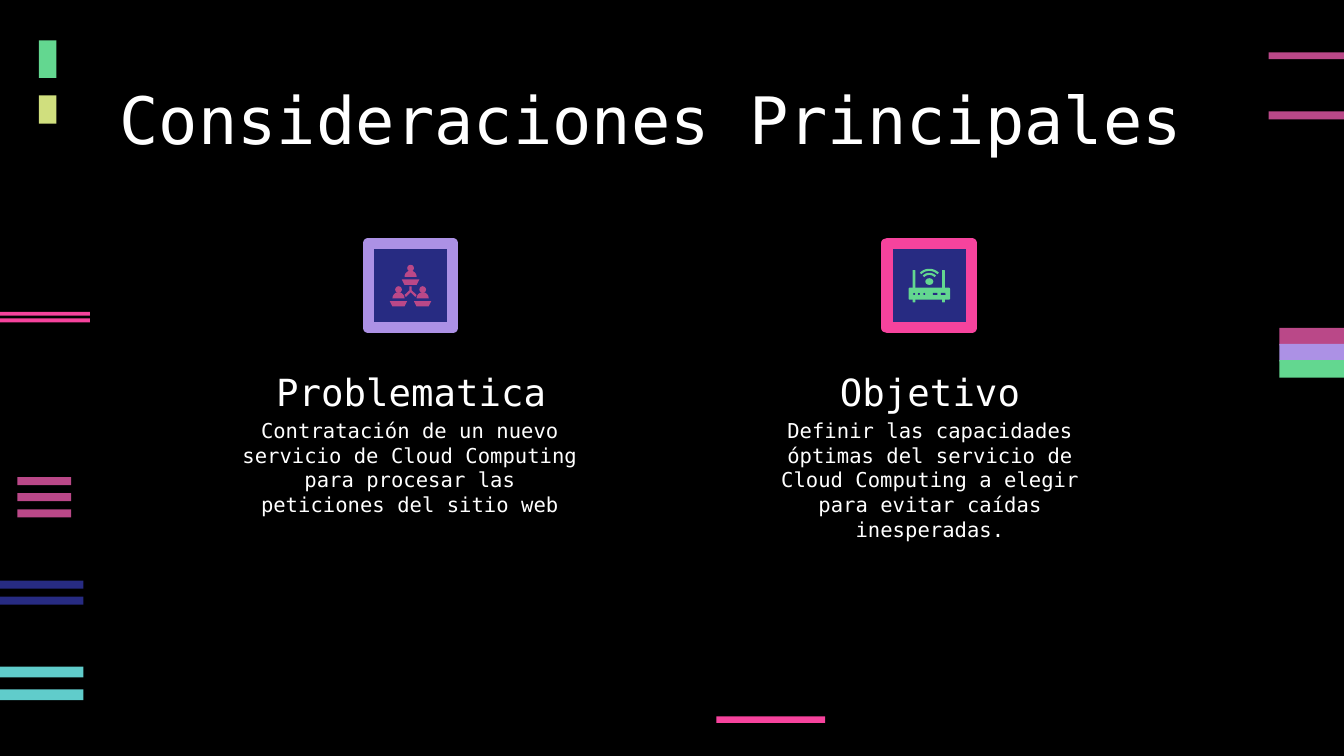
from dataclasses import dataclass
from math import cos, radians, sin

from lxml import etree
from pptx import Presentation
from pptx import util as u
from pptx.dml.color import RGBColor
from pptx.enum import shapes, text
from pptx.oxml import ns

PX = 9144
FONT = "DejaVu Sans Mono"
HUES = {
    "black": "000000",
    "white": "FFFFFF",
    "plum": "BA4888",
    "pink": "F6439D",
    "aqua": "60CCCB",
    "green": "63D790",
    "lilac": "AC91E5",
    "lime": "D0DF7E",
    "navy": "272B82",
}
KIND = shapes.MSO_SHAPE
TOP, LOW = text.MSO_ANCHOR.TOP, text.MSO_ANCHOR.BOTTOM
LEFT, MID = text.PP_ALIGN.LEFT, text.PP_ALIGN.CENTER


@dataclass(frozen=True)
class Box:
    x: float
    y: float
    w: float
    h: float


@dataclass(frozen=True)
class Stack:
    box: Box
    hues: tuple[str, ...]
    step: int = 0


@dataclass(frozen=True)
class Label:
    slot: int
    box: Box
    words: str
    size: int
    anchor: text.MSO_ANCHOR
    align: text.PP_ALIGN = MID


STACKS = [
    Stack(Box(13, 355, 40, 6), ("plum",) * 3, 12),
    Stack(Box(944, 39, 56, 5), ("plum",)),
    Stack(Box(944, 83, 56, 6), ("plum",)),
    Stack(Box(533, 533, 81, 5), ("pink",)),
    Stack(Box(0, 496, 62, 8), ("aqua",) * 2, 17),
    Stack(Box(952, 244, 48, 13), ("plum", "lilac", "green"), 12),
    Stack(Box(29, 30, 13, 28), ("green",)),
    Stack(Box(29, 71, 13, 21), ("lime",)),
    Stack(Box(0, 232, 67, 3), ("pink",) * 2, 5),
    Stack(Box(0, 432, 62, 6), ("navy",) * 2, 12),
]
LABELS = [
    Label(0, Box(79, 49, 843, 75), "Consideraciones Principales", 35, TOP, LEFT),
    Label(1, Box(178, 265, 256, 53), "Problematica", 20, LOW),
    Label(
        2,
        Box(166, 301, 278, 104),
        "Contratación de un nuevo servicio de Cloud Computing para procesar "
        "las peticiones del sitio web",
        11,
        TOP,
    ),
    Label(3, Box(564, 265, 256, 53), "Objetivo", 20, LOW),
    Label(
        4,
        Box(564, 301, 256, 104),
        "Definir las capacidades óptimas del servicio de Cloud Computing "
        "a elegir para evitar caídas inesperadas.",
        11,
        TOP,
    ),
]


def emu(n: float) -> u.Emu:
    return u.Emu(round(n * PX))


def tint(hue: str) -> RGBColor:
    return RGBColor.from_string(HUES[hue])


def paint(shape, hue: str) -> None:
    shape.shadow.inherit = False
    shape.fill.solid()
    shape.fill.fore_color.rgb = tint(hue)
    shape.line.fill.background()


def block(host, box: Box, hue: str, kind=KIND.RECTANGLE):
    shape = host.add_shape(kind, emu(box.x), emu(box.y), emu(box.w), emu(box.h))
    paint(shape, hue)
    return shape


def poly(host, dots: list[tuple[float, float]], hue: str) -> None:
    spots = [(emu(x), emu(y)) for x, y in dots]
    pen = host.build_freeform(*spots[0])
    pen.add_line_segments(spots[1:], close=True)
    paint(pen.convert_to_shape(), hue)


def arc(x: float, y: float, r: float, start: int, end: int) -> list[tuple[float, float]]:
    turns = [radians(start + (end - start) * i / 16) for i in range(17)]
    return [(x + r * cos(t), y - r * sin(t)) for t in turns]


def stack(host, item: Stack) -> None:
    box = item.box
    for i, hue in enumerate(item.hues):
        block(host, Box(box.x, box.y + i * item.step, box.w, box.h), hue)


def frame(host, x: int, hue: str) -> None:
    shape = block(host, Box(x, 181, 63, 63), "navy")
    shape.line.color.rgb = tint(hue)
    shape.line.width = u.Pt(6)


def person(host, x: int, y: int) -> None:
    block(host, Box(x + 4, y, 5, 5), "plum", KIND.OVAL)
    poly(host, arc(x + 6.5, y + 9, 4.5, 0, 180), "plum")
    seat = [(0, 11), (13, 11), (11, 15), (2, 15)]
    poly(host, [(x + dx, y + dy) for dx, dy in seat], "plum")


def team(host) -> None:
    for x, y in ((299, 197), (290, 213), (308, 213)):
        person(host, x, y)
    half = [(0.8, 213), (0.8, 216), (4.5, 219.5), (3.5, 221), (0, 217.5)]
    right = [(305.5 + dx, y) for dx, y in half]
    left = [(305.5 - dx, y) for dx, y in reversed(half[:-1])]
    poly(host, right + left, "plum")


def router(host) -> None:
    for r in (10, 7):
        rim = arc(691.5, 210, r, 45, 135) + arc(691.5, 210, r - 1.6, 135, 45)
        poly(host, rim, "green")
    block(host, Box(688.5, 207, 6, 5), "green", KIND.OVAL)
    for x in (679, 701):
        block(host, Box(x, 201, 2, 24), "green", KIND.ROUNDED_RECTANGLE)
    body = block(host, Box(676, 214, 31, 9), "green", KIND.ROUNDED_RECTANGLE)
    body.adjustments[0] = 0.12
    for x in (679.5, 683, 687):
        block(host, Box(x, 218, 1.5, 1.5), "navy", KIND.OVAL)
    for x in (694, 700):
        block(host, Box(x, 218, 3.5, 1.5), "navy", KIND.ROUNDED_RECTANGLE)


def write(slide, item: Label) -> None:
    shape = slide.placeholders[item.slot]
    box = item.box
    shape.left, shape.top = emu(box.x), emu(box.y)
    shape.width, shape.height = emu(box.w), emu(box.h)
    body = shape.text_frame
    body.text = item.words
    body.word_wrap = True
    body.auto_size = text.MSO_AUTO_SIZE.NONE
    body.vertical_anchor = item.anchor
    body.margin_left = body.margin_right = emu(10)
    body.margin_top = body.margin_bottom = emu(10)
    para = body.paragraphs[0]
    para.alignment = item.align
    para.space_before = u.Pt(0)
    para.font.name = FONT
    para.font.size = u.Pt(item.size)
    para.font.bold = False
    para.font.color.rgb = tint("white")
    props = para._p.get_or_add_pPr()
    props.set("marL", "0")
    props.set("indent", "0")
    mark = etree.Element(ns.qn("a:buNone"))
    props.find(ns.qn("a:defRPr")).addprevious(mark)


def main() -> None:
    deck = Presentation()
    deck.slide_width, deck.slide_height = emu(1000), emu(562.5)
    slide = deck.slides.add_slide(deck.slide_layouts[4])
    slide.background.fill.solid()
    slide.background.fill.fore_color.rgb = tint("black")
    for item in STACKS:
        stack(slide.shapes, item)
    for label in LABELS:
        write(slide, label)
    for x, hue, draw in ((274, "lilac", team), (660, "pink", router)):
        frame(slide.shapes, x, hue)
        draw(slide.shapes.add_group_shape().shapes)
    deck.save("out.pptx")


if __name__ == "__main__":
    main()
